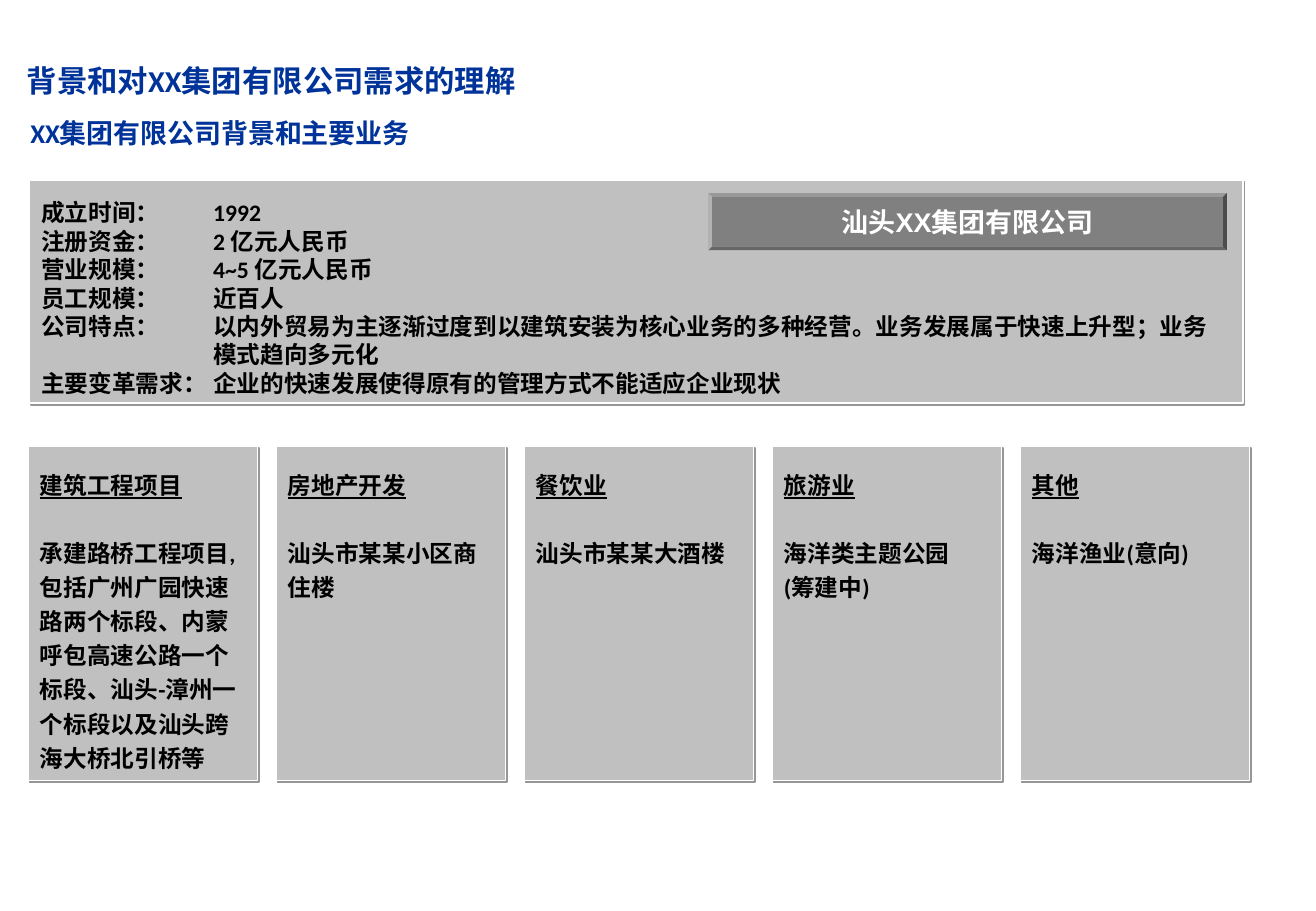
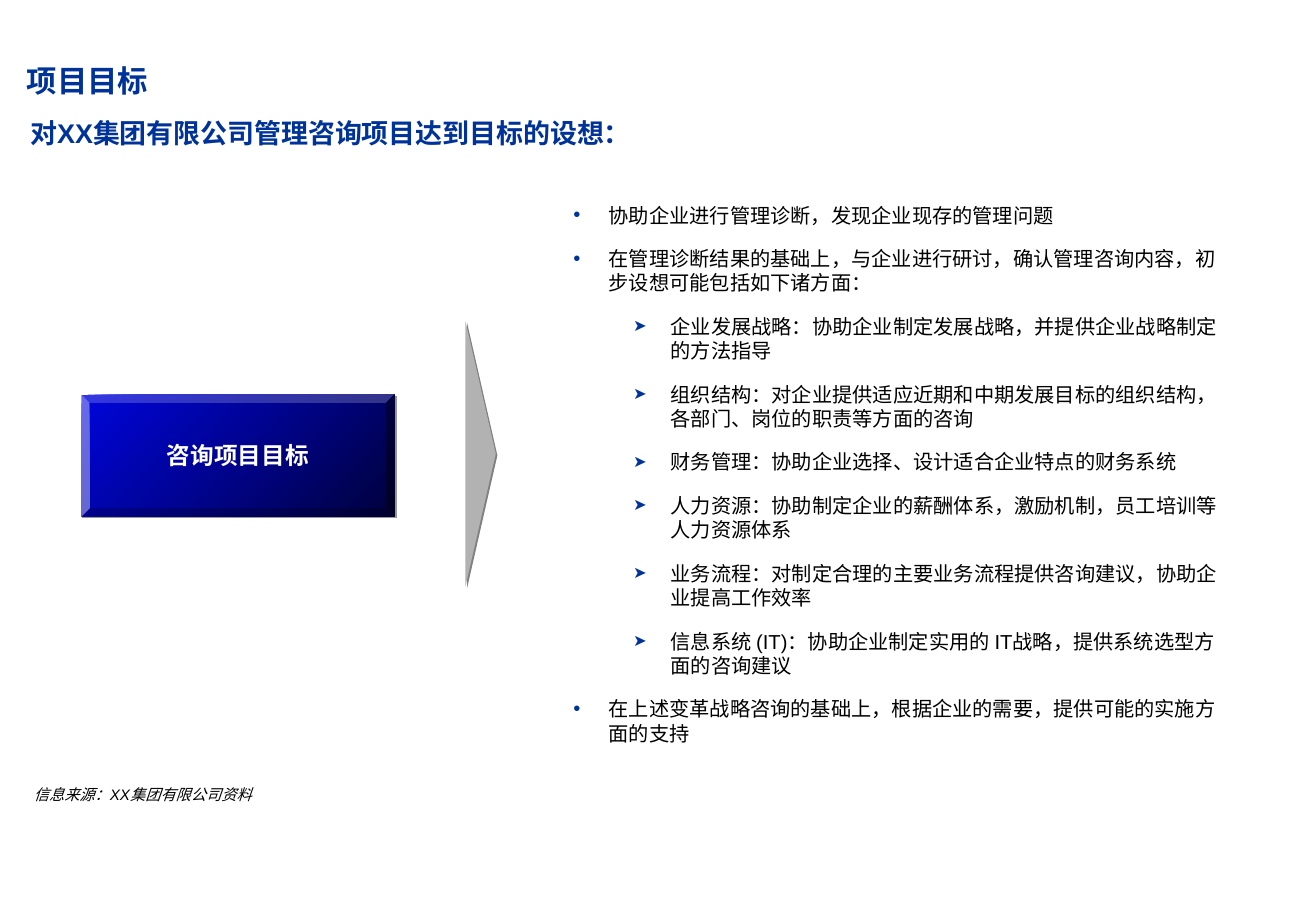
from lxml.etree import SubElement
from pptx import Presentation
from pptx.dml.color import RGBColor
from pptx.enum.shapes import MSO_SHAPE as SHAPE
from pptx.enum.text import MSO_ANCHOR as ANCHOR, MSO_AUTO_SIZE as AUTO, PP_ALIGN as ALIGN
from pptx.oxml.ns import qn
from pptx.util import Pt

# Content
HEADING_1 = "背景和对XX集团有限公司需求的理解"
SUBHEADING_1 = "XX集团有限公司背景和主要业务"
COMPANY = "汕头XX集团有限公司"
FACTS = [
    ("成立时间：", "1992"),
    ("注册资金：", "2 亿元人民币"),
    ("营业规模：", "4~5 亿元人民币"),
    ("员工规模：", "近百人"),
    ("公司特点：", "以内外贸易为主逐渐过度到以建筑安装为核心业务的多种经营。"
                  "业务发展属于快速上升型；业务\v模式趋向多元化"),
    ("主要变革需求：", "企业的快速发展使得原有的管理方式不能适应企业现状"),
]
BUSINESSES = [
    ("建筑工程项目", ["承建路桥工程项目,包括广州广园快速路两个标段、内蒙呼包高速公路一个标段、"
                      "汕头-漳州一个标段以及汕头跨海大桥北引桥等"]),
    ("房地产开发", ["汕头市某某小区商住楼"]),
    ("餐饮业", ["汕头市某某大酒楼"]),
    ("旅游业", ["海洋类主题公园", "(筹建中)"]),
    ("其他", ["海洋渔业(意向)"]),
]

HEADING_2 = "项目目标"
SUBHEADING_2 = "对XX集团有限公司管理咨询项目达到目标的设想："
GOAL = "咨询项目目标"
SOURCE = "信息来源：XX集团有限公司资料"
AIMS = [
    (1, "协助企业进行管理诊断，发现企业现存的管理问题"),
    (1, "在管理诊断结果的基础上，与企业进行研讨，确认管理咨询内容，初步设想可能包括如下诸方面："),
    (2, "企业发展战略：协助企业制定发展战略，并提供企业战略制定的方法指导"),
    (2, "组织结构：对企业提供适应近期和中期发展目标的组织结构，各部门、岗位的职责等方面的咨询"),
    (2, "财务管理：协助企业选择、设计适合企业特点的财务系统"),
    (2, "人力资源：协助制定企业的薪酬体系，激励机制，员工培训等人力资源体系"),
    (2, "业务流程：对制定合理的主要业务流程提供咨询建议，协助企业提高工作效率"),
    (2, "信息系统 (IT)：协助企业制定实用的 IT战略，提供系统选型方面的咨询建议"),
    (1, "在上述变革战略咨询的基础上，根据企业的需要，提供可能的实施方面的支持"),
]

# Shared look
BLUE, PANEL, WHITE, BLACK = "003399", "C0C0C0", "FFFFFF", "000000"
SHADOW = "969696"
CJK = "Noto Sans CJK SC"
HEADING = dict(name="Calibri", size=Pt(18), bold=True, color=BLUE)
SUBHEADING = dict(HEADING, size=Pt(16))
PANEL_TEXT = dict(name="Calibri", size=Pt(14), bold=True, color=BLACK)
BODY_TEXT = dict(name="Arial", size=Pt(12), bold=False, color=BLACK)
BULLETS = {  # level: left margin, hanging indent, size in percent, character
    1: (75.6, 20.9, 100, "•"),
    2: (112.3, 22.3, 80, "➤"),
}


def rgb(color):
    return RGBColor.from_string(color)


def write(p, text, style, **layout):
    """Fill a paragraph and format it."""
    p.text = text
    for key, value in dict(alignment=ALIGN.LEFT, space_before=Pt(0), **layout).items():
        setattr(p, key, value)
    for r in p.runs:
        for key, value in style.items():
            if key == "color":
                r.font.color.rgb = rgb(value)
            else:
                setattr(r.font, key, value)
        rPr = r.font._element
        rPr.set("lang", "zh-CN")
        SubElement(rPr, qn("a:ea"), typeface=CJK)


def paragraphs(tf, count):
    return [tf.paragraphs[0]] + [tf.add_paragraph() for _ in range(count - 1)]


def frame(shape, margins=(7.2, 3.6, 7.2, 3.6), anchor=ANCHOR.TOP):
    tf = shape.text_frame
    tf.word_wrap, tf.auto_size, tf.vertical_anchor = True, AUTO.NONE, anchor
    tf.margin_left, tf.margin_top, tf.margin_right, tf.margin_bottom = map(Pt, margins)
    return tf


def place(shape, left, top, width, height):
    shape.left, shape.top, shape.width, shape.height = map(Pt, (left, top, width, height))


def add_text(s, box, text, style, **framing):
    tf = frame(s.shapes.add_textbox(*map(Pt, box)), **framing)
    write(tf.paragraphs[0], text, style)


def add_shape(s, kind, box, fill=None, line=None, shadow=None):
    shape = s.shapes.add_shape(kind, *map(Pt, box))
    if fill:
        shape.fill.solid()
        shape.fill.fore_color.rgb = rgb(fill)
    if line:
        shape.line.color.rgb = rgb(line)
        shape.line.width = Pt(1)
    else:
        shape.line.fill.background()
    shape.shadow.inherit = False
    if shadow:
        effects = shape._element.spPr.find(qn("a:effectLst"))
        outer = SubElement(effects, qn("a:outerShdw"), dist=str(Pt(1.4)),
                           dir="2700000", algn="ctr", rotWithShape="0")
        SubElement(outer, qn("a:srgbClr"), val=shadow)
    return shape


def add_panel(s, box):
    panel = add_shape(s, SHAPE.RECTANGLE, box, PANEL, WHITE, SHADOW)
    return frame(panel, (7.2, 11, 7.2, 3.6))


def add_button(s, box, text, style, **look):
    button = add_shape(s, SHAPE.BEVEL, box, **look)
    button.adjustments[0] = 0.066
    tf = frame(button, (0, 0, 0, 0), ANCHOR.MIDDLE)
    write(tf.paragraphs[0], text, style)
    tf.paragraphs[0].alignment = ALIGN.CENTER
    return button


def add_slide(prs, layout, heading):
    s = prs.slides.add_slide(prs.slide_layouts[layout])
    place(s.shapes.title, 15.8, 15, 699, 43.2)
    tf = frame(s.shapes.title, (0, 0, 0, 0), ANCHOR.BOTTOM)
    write(tf.paragraphs[0], heading, HEADING)
    return s


def set_bullet(p, level):
    margin, hang, percent, char = BULLETS[level]
    p.level = level
    pPr = p._p.get_or_add_pPr()
    pPr.set("marL", str(Pt(margin)))
    pPr.set("indent", str(-Pt(hang)))
    SubElement(SubElement(pPr, qn("a:buClr")), qn("a:srgbClr"), val=BLUE)
    SubElement(pPr, qn("a:buSzPct"), val=str(percent * 1000))
    SubElement(pPr, qn("a:buFont"), typeface="Arial")
    SubElement(pPr, qn("a:buChar"), char=char)


def set_value_column(p, offset):
    pPr = p._p.get_or_add_pPr()
    pPr.set("marL", str(Pt(offset)))
    pPr.set("indent", str(-Pt(offset)))
    SubElement(SubElement(pPr, qn("a:tabLst")), qn("a:tab"), pos=str(Pt(offset)), algn="l")


def background_slide(prs):
    s = add_slide(prs, 5, HEADING_1)
    add_text(s, (12.2, 61, 595, 27), SUBHEADING_1, SUBHEADING,
             margins=(5.8, 0, 0, 0), anchor=ANCHOR.BOTTOM)

    # Company facts
    tf = add_panel(s, (17.3, 106.6, 719.3, 132.5))
    for p, (label, value) in zip(paragraphs(tf, len(FACTS)), FACTS):
        set_value_column(p, 102)
        write(p, f"{label}\t{value}", PANEL_TEXT, line_spacing=Pt(16.8))
    add_button(s, (419.8, 114.5, 307.4, 33.8), COMPANY,
               dict(name="Arial", size=Pt(16), bold=True, color=WHITE), fill="808080")

    # Business cards
    left, pitch, line = 16.6, 147, Pt(20.2)
    for i, (name, details) in enumerate(BUSINESSES):
        tf = add_panel(s, (left + i * pitch, 264.6, 136, 198))
        title, *rest = paragraphs(tf, 1 + len(details))
        write(title, name, dict(PANEL_TEXT, underline=True), line_spacing=line)
        for p, detail in zip(rest, details):
            write(p, detail, PANEL_TEXT, line_spacing=line)
        rest[0].space_before = line


def goals_slide(prs):
    s = add_slide(prs, 1, HEADING_2)
    add_text(s, (10.8, 60.5, 656.6, 36.7), SUBHEADING_2, dict(SUBHEADING, name="Arial"),
             anchor=ANCHOR.MIDDLE)

    # List of aims
    body = s.placeholders[1]
    place(body, 278, 116.5, 455.8, 342)
    for i, (p, (level, text)) in enumerate(zip(paragraphs(frame(body), len(AIMS)), AIMS)):
        set_bullet(p, level)
        write(p, text, BODY_TEXT, line_spacing=Pt(14.5))
        p.space_before = Pt(11.2 if i else 0)

    # Goal button and pointer
    pointer = add_shape(s, SHAPE.ISOSCELES_TRIANGLE, (206, 260, 157.7, 18), "B2B2B2",
                        shadow="808080")
    pointer.rotation = 90
    button = add_button(s, (48.2, 234, 185.8, 72), GOAL, dict(PANEL_TEXT, color=WHITE),
                        shadow=SHADOW)
    button.fill.gradient()
    button.fill.gradient_angle = 315
    for stop, color in zip(button.fill.gradient_stops, ("0005DC", "00013C")):
        stop.color.rgb = rgb(color)

    # Source line
    add_text(s, (13, 462, 403, 17), SOURCE, dict(BODY_TEXT, size=Pt(9), italic=True))


def main():
    prs = Presentation()
    prs.slide_width, prs.slide_height = Pt(780), Pt(540)
    background_slide(prs)
    goals_slide(prs)
    prs.save("out.pptx")


if __name__ == "__main__":
    main()
